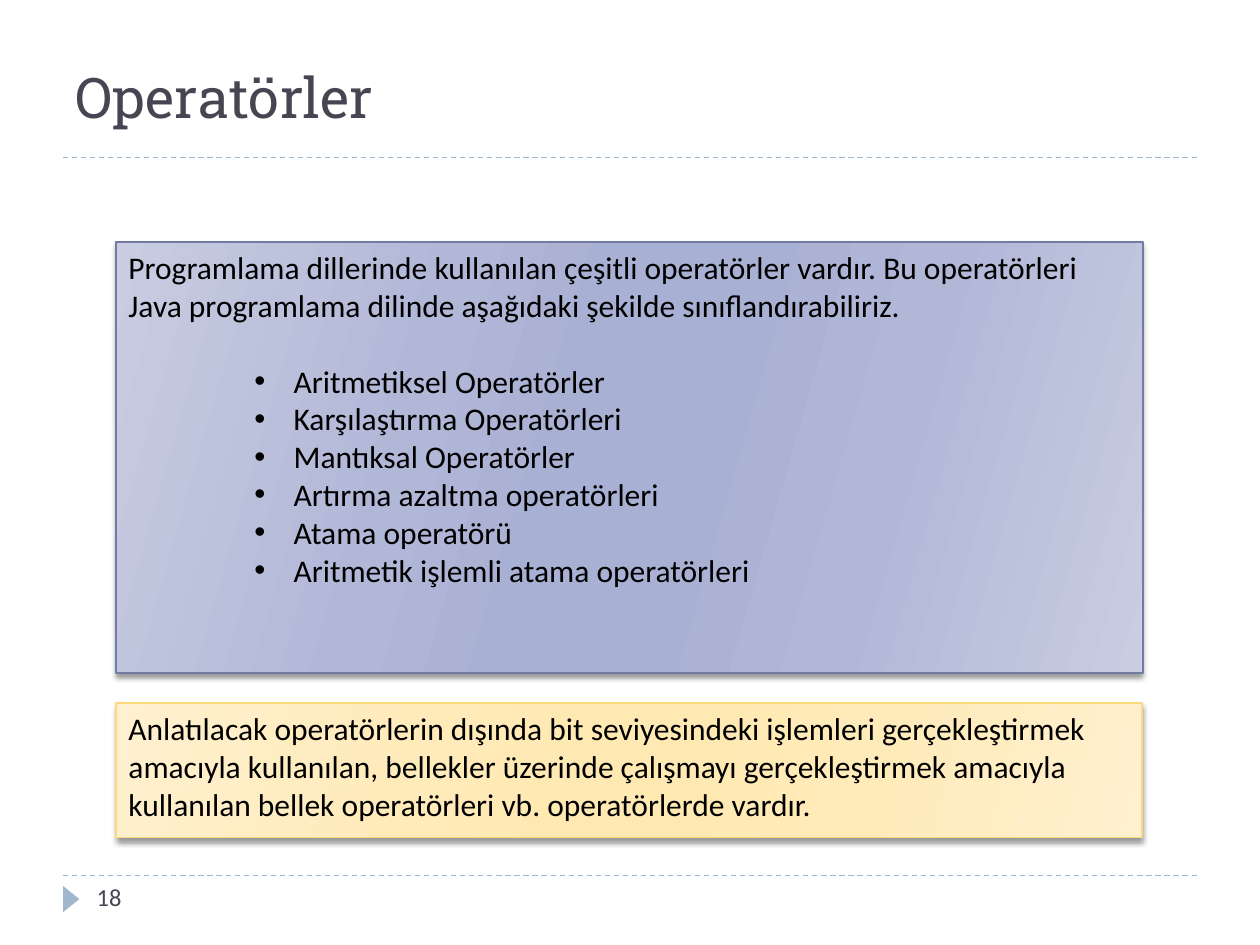
"""Build a slide that lists the operator groups of the Java language."""
from dataclasses import dataclass

import pptx
import pptx.dml.color
import pptx.enum.dml
import pptx.enum.shapes
import pptx.enum.text
import pptx.oxml
import pptx.oxml.ns
import pptx.util
from lxml import etree

Cm = pptx.util.Cm
Pt = pptx.util.Pt
SHAPE = pptx.enum.shapes.MSO_SHAPE
ANCHOR = pptx.enum.text.MSO_ANCHOR
qn = pptx.oxml.ns.qn

INK, ACCENT, BLACK = "464653", "9FB8CD", "000000"
STOPS = (0, 30, 45, 55, 73, 100)
SHADOW = (
    f'<a:effectLst {pptx.oxml.ns.nsdecls("a")}>'
    '<a:outerShdw blurRad="38100" dist="25400" dir="5400000" rotWithShape="0">'
    '<a:srgbClr val="000000"><a:alpha val="40000"/></a:srgbClr>'
    '</a:outerShdw></a:effectLst>'
)


@dataclass
class Panel:
    top: float
    width: float
    height: float
    line: str
    shades: tuple[str, str, str]
    text: str
    bullets: tuple[str, ...] = ()


PANELS = (
    Panel(4.88, 20.7, 8.69, "727CA3", ("C9CDE2", "B1B7D7", "A8B0D3"),
          "Programlama dillerinde kullanılan çeşitli operatörler vardır. "
          "Bu operatörleri Java programlama dilinde aşağıdaki şekilde "
          "sınıflandırabiliriz.",
          ("Aritmetiksel Operatörler", "Karşılaştırma Operatörleri",
           "Mantıksal Operatörler", "Artırma azaltma operatörleri",
           "Atama operatörü", "Aritmetik işlemli atama operatörleri")),
    Panel(14.17, 20.68, 2.72, "FADA7A", ("FFF0CF", "FFEBBA", "FFE9B3"),
          "Anlatılacak operatörlerin dışında bit seviyesindeki işlemleri "
          "gerçekleştirmek amacıyla kullanılan, bellekler üzerinde çalışmayı "
          "gerçekleştirmek amacıyla kullanılan bellek operatörleri vb. "
          "operatörlerde vardır."),
)


def rgb(value: str) -> pptx.dml.color.RGBColor:
    return pptx.dml.color.RGBColor.from_string(value)


def write(p, text: str, *, size: float = 18, font: str = "Calibri",
          color: str = BLACK, bullet: bool = False, before: float = 0) -> None:
    p.alignment = pptx.enum.text.PP_ALIGN.LEFT
    p.space_before = Pt(before)
    r = p.add_run()
    r.text = text
    r.font.size = Pt(size)
    r.font.name = font
    r.font.color.rgb = rgb(color)
    if bullet:
        pPr = p._p.get_or_add_pPr()
        pPr.set("marL", str(Cm(3.33)))
        pPr.set("indent", str(Cm(-0.79)))
        etree.SubElement(pPr, qn("a:buFont")).set("typeface", "Arial")
        etree.SubElement(pPr, qn("a:buChar")).set("char", "•")


def add_label(s, text: str, left: float, top: float, width: float, height: float,
              anchor=ANCHOR.TOP, **style) -> None:
    tf = s.shapes.add_textbox(Cm(left), Cm(top), Cm(width), Cm(height)).text_frame
    tf.word_wrap = True
    tf.vertical_anchor = anchor
    write(tf.paragraphs[0], text, color=INK, **style)


def add_rule(s, y: float) -> None:
    line = s.shapes.add_connector(pptx.enum.shapes.MSO_CONNECTOR.STRAIGHT,
                                  Cm(1.27), Cm(y), Cm(24.13), Cm(y))
    line.line.color.rgb = rgb(ACCENT)
    line.line.width = Pt(0.75)
    line.line.dash_style = pptx.enum.dml.MSO_LINE.DASH
    etree.SubElement(line._element.spPr, qn("a:effectLst"))


def add_marker(s) -> None:
    sp = s.shapes.add_shape(SHAPE.ISOSCELES_TRIANGLE,
                            Cm(1.17), Cm(17.96), Cm(0.53), Cm(0.33))
    sp.rotation = 90
    sp.shadow.inherit = False
    sp.fill.solid()
    sp.fill.fore_color.rgb = rgb(ACCENT)
    sp.line.fill.background()


def fill_gradient(sp, shades: tuple[str, str, str]) -> None:
    sp.fill.gradient()
    sp.fill.gradient_angle = 360 - 16
    stops = sp._element.spPr.find(".//" + qn("a:gsLst"))
    for old in list(stops):
        stops.remove(old)
    for position, shade in zip(STOPS, shades + shades[::-1]):
        gs = etree.SubElement(stops, qn("a:gs"))
        gs.set("pos", str(position * 1000))
        etree.SubElement(gs, qn("a:srgbClr")).set("val", shade)


def add_panel(s, panel: Panel) -> None:
    sp = s.shapes.add_shape(SHAPE.ROUNDED_RECTANGLE, Cm(2.34), Cm(panel.top),
                            Cm(panel.width), Cm(panel.height))
    sp.adjustments[0] = 0
    fill_gradient(sp, panel.shades)
    sp.line.color.rgb = rgb(panel.line)
    sp.line.width = Pt(0.75)
    sp._element.spPr.append(pptx.oxml.parse_xml(SHADOW))
    tf = sp.text_frame
    tf.word_wrap = True
    tf.vertical_anchor = ANCHOR.TOP
    write(tf.paragraphs[0], panel.text)
    for i, item in enumerate(panel.bullets):
        write(tf.add_paragraph(), item, bullet=True, before=0 if i else 21.6)


def main() -> None:
    prs = pptx.Presentation()
    prs.slide_width, prs.slide_height = Cm(25.4), Cm(19.05)
    s = prs.slides.add_slide(prs.slide_layouts[6])
    for y in (17.65, 3.18):
        add_rule(s, y)
    add_marker(s)
    add_label(s, "Operatörler", 1.27, 1.27, 22.86, 1.47,
              anchor=ANCHOR.BOTTOM, size=32, font="Roboto Slab")
    add_label(s, "18", 1.7, 17.65, 5.51, 1.02, size=14)
    for panel in PANELS:
        add_panel(s, panel)
    prs.save("out.pptx")


if __name__ == "__main__":
    main()
